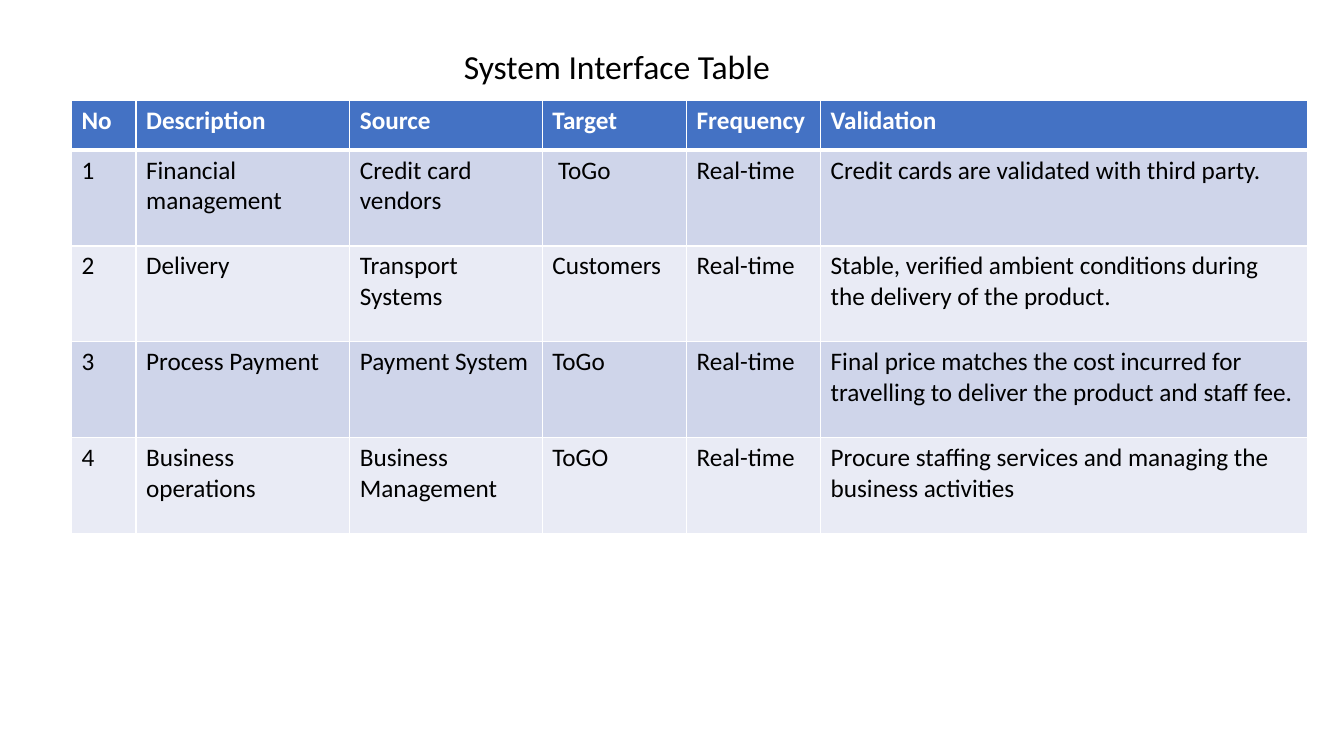
from dataclasses import dataclass

from lxml.etree import SubElement
from pptx import Presentation
from pptx.dml.color import RGBColor
from pptx.enum.text import MSO_ANCHOR, MSO_AUTO_SIZE, PP_ALIGN
from pptx.oxml.ns import qn
from pptx.util import Inches, Pt


@dataclass(frozen=True)
class Theme:
    """Colours, font and type sizes of the slide."""
    font: str = "Calibri"
    title_size: int = 24
    table_size: int = 18
    text: str = "000000"
    header_text: str = "FFFFFF"
    header_fill: str = "4472C4"
    band_fills: tuple = ("CFD5EA", "E9EBF5")
    border: str = "FFFFFF"
    thin: int = 1
    thick: int = 3


THEME = Theme()
SLIDE_SIZE = (13.33, 7.5)
TITLE_BOX = (4.5, 0, 3.31, 0.91)
TABLE_CORNER = (0.71, 1)
COLUMN_WIDTHS = (0.64, 2.12, 1.91, 1.43, 1.33, 4.83)
HEADER_HEIGHT, ROW_HEIGHT = 0.49, 0.95

INTERFACE_ROWS = (
    ("No", "Description", "Source", "Target", "Frequency", "Validation"),
    ("1", "Financial management", "Credit card vendors", " ToGo", "Real-time",
     "Credit cards are validated with third party."),
    ("2", "Delivery", "Transport Systems", "Customers", "Real-time",
     "Stable, verified ambient conditions during the delivery of the product."),
    ("3", "Process Payment", "Payment System", "ToGo", "Real-time",
     "Final price matches the cost incurred for travelling to deliver the product and staff fee."),
    ("4", "Business\noperations", "Business Management", "ToGO", "Real-time",
     "Procure staffing services and managing the business activities"),
)


def apply_format(target, values):
    """Set each named attribute of the target."""
    for name, value in values.items():
        setattr(target, name, value)


def format_text(text_frame, size, color, bold=False):
    """Format every paragraph of a text frame, aligned left."""
    for paragraph in text_frame.paragraphs:
        paragraph.alignment = PP_ALIGN.LEFT
        apply_format(paragraph.font, {"name": THEME.font, "size": Pt(size), "bold": bold})
        paragraph.font.color.rgb = RGBColor.from_string(color)
        for run in paragraph.runs:
            apply_format(run.font, {"name": THEME.font, "size": Pt(size), "bold": bold})
            run.font.color.rgb = RGBColor.from_string(color)


def set_borders(cell, widths):
    """Draw the cell's edges with the given widths in points."""
    properties = cell._tc.get_or_add_tcPr()
    for edge, width in widths.items():
        line = SubElement(properties, qn(f"a:ln{edge}"), w=str(Pt(width)))
        fill = SubElement(line, qn("a:solidFill"))
        SubElement(fill, qn("a:srgbClr"), val=THEME.border)


def add_title(slide, text):
    """Place the title text at the foot of its placeholder."""
    title = slide.shapes.title
    left, top, width, height = map(Inches, TITLE_BOX)
    apply_format(title, {"left": left, "top": top, "width": width, "height": height})
    title.text_frame.text = text
    apply_format(title.text_frame, {"word_wrap": True, "auto_size": MSO_AUTO_SIZE.NONE,
                                    "vertical_anchor": MSO_ANCHOR.BOTTOM})
    format_text(title.text_frame, THEME.title_size, THEME.text)


def fill_cell(cell, text, row_index):
    """Write one cell in the style of its row."""
    header = row_index == 0
    cell.text = text
    format_text(cell.text_frame, THEME.table_size,
                THEME.header_text if header else THEME.text, header)
    set_borders(cell, {"L": THEME.thin, "R": THEME.thin,
                       "T": THEME.thick if row_index == 1 else THEME.thin,
                       "B": THEME.thick if header else THEME.thin})
    color = THEME.header_fill if header else THEME.band_fills[(row_index - 1) % 2]
    cell.fill.solid()
    cell.fill.fore_color.rgb = RGBColor.from_string(color)


def add_interface_table(slide, rows):
    """Add the table with a header row and banded body rows."""
    heights = [HEADER_HEIGHT] + [ROW_HEIGHT] * (len(rows) - 1)
    size = (sum(COLUMN_WIDTHS), sum(heights))
    frame = slide.shapes.add_table(len(rows), len(COLUMN_WIDTHS),
                                   *map(Inches, TABLE_CORNER + size))
    table = frame.table
    for column, width in zip(table.columns, COLUMN_WIDTHS):
        column.width = Inches(width)
    for row_index, (row, height, texts) in enumerate(zip(table.rows, heights, rows)):
        row.height = Inches(height)
        for cell, text in zip(row.cells, texts):
            fill_cell(cell, text, row_index)


def main():
    """Build the slide and save it."""
    presentation = Presentation()
    width, height = map(Inches, SLIDE_SIZE)
    apply_format(presentation, {"slide_width": width, "slide_height": height})
    slide = presentation.slides.add_slide(presentation.slide_layouts.get_by_name("Title Only"))
    add_title(slide, "System Interface Table")
    add_interface_table(slide, INTERFACE_ROWS)
    presentation.save("out.pptx")


main()
